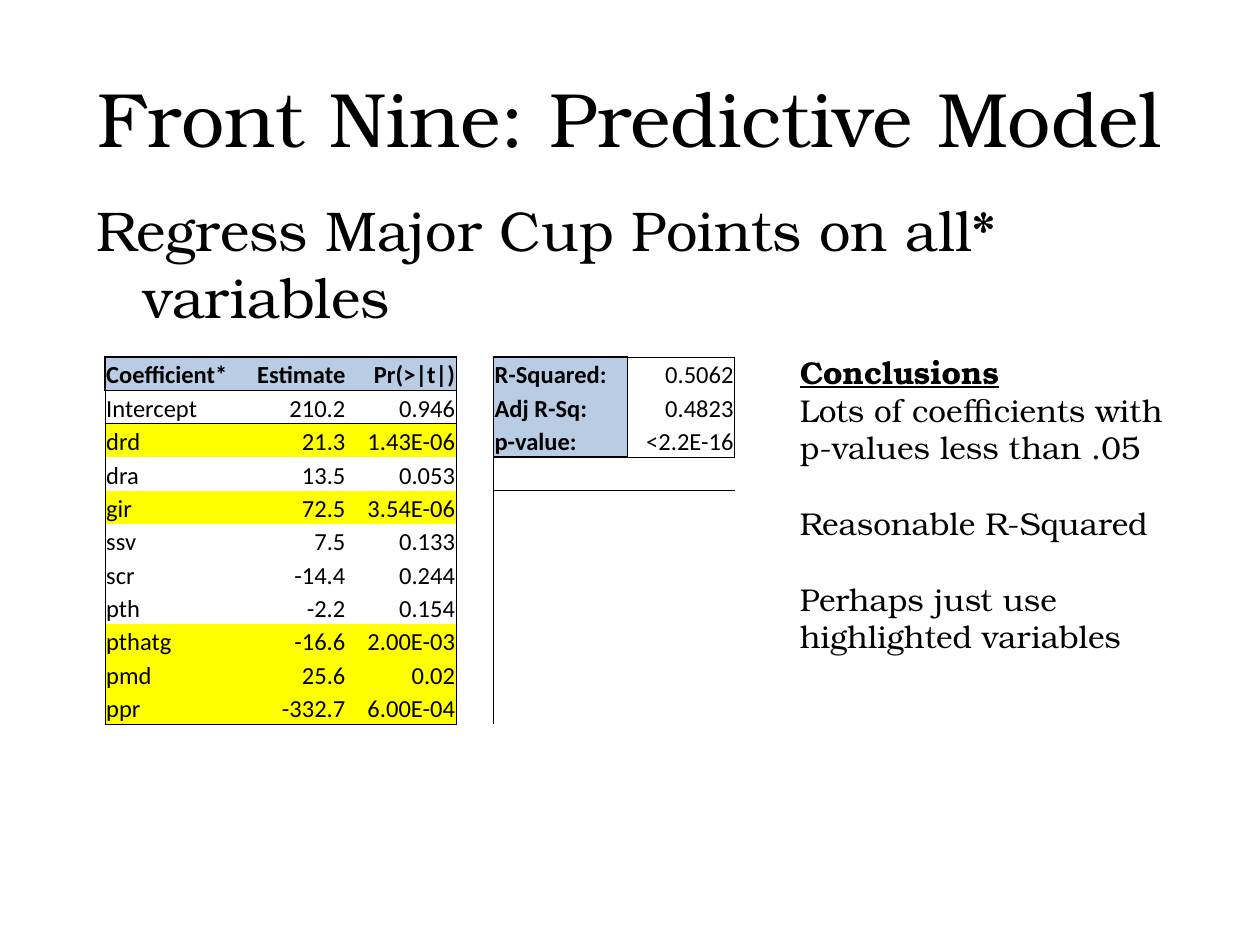
"""Build the front-nine predictive model slide."""
from dataclasses import dataclass

from lxml import etree
from pptx import Presentation
from pptx.dml.color import RGBColor
from pptx.enum.text import MSO_ANCHOR, PP_ALIGN
from pptx.oxml.ns import qn
from pptx.util import Pt

LEFT, RIGHT, CENTER = PP_ALIGN.LEFT, PP_ALIGN.RIGHT, PP_ALIGN.CENTER
TOP, MIDDLE, BOTTOM = MSO_ANCHOR.TOP, MSO_ANCHOR.MIDDLE, MSO_ANCHOR.BOTTOM
SERIF, SANS = "TeX Gyre Bonum", "Calibri"
BLACK, BLUE, YELLOW = "000000", "B8CCE4", "FFFF00"
PLAIN_STYLE = "{2D5ABB26-0587-4C30-8999-92F81FD0307C}"
THIN, THICK = 0.5, 1
CELL_SIZE = 14
ROW_HEIGHT = 19.1
COLUMN_WIDTHS = (75.4, 62.7, 62.7, 21.2, 76.8, 61.2)
SUMMARY_COLUMN = 4

COEFFICIENTS = (
    ("Coefficient*", "Estimate", "Pr(>|t|)"),
    ("Intercept", "210.2", "0.946"),
    ("drd", "21.3", "1.43E-06"),
    ("dra", "13.5", "0.053"),
    ("gir", "72.5", "3.54E-06"),
    ("ssv", "7.5", "0.133"),
    ("scr", "-14.4", "0.244"),
    ("pth", "-2.2", "0.154"),
    ("pthatg", "-16.6", "2.00E-03"),
    ("pmd", "25.6", "0.02"),
    ("ppr", "-332.7", "6.00E-04"),
)
SUMMARY = (("R-Squared:", "0.5062"), ("Adj R-Sq:", "0.4823"), ("p-value:", "<2.2E-16"))
HIGHLIGHTED = {"drd", "gir", "pthatg", "pmd", "ppr"}


@dataclass
class Line:
    """A paragraph of a text box."""
    text: str
    size: float
    align: PP_ALIGN = LEFT
    bold: bool = False
    underline: bool = False
    space_before: float = 0
    hanging: float = 0


@dataclass
class TextBlock:
    """A text box with its frame in points."""
    frame: tuple[float, float, float, float]
    lines: list[Line]
    anchor: MSO_ANCHOR = TOP


@dataclass
class Outline:
    """A bordered cell range with widths for left, top, right and bottom."""
    first: tuple[int, int]
    last: tuple[int, int]
    widths: tuple[float, float, float, float]


TEXT_BLOCKS = (
    TextBlock((36, 21.6, 648, 90), [Line("Front Nine: Predictive Model", 44, CENTER)], MIDDLE),
    TextBlock((48, 108, 648, 54),
              [Line("Regress Major Cup Points on all* variables", 32, hanging=27)]),
    TextBlock((450, 198, 234, 181.4), [
        Line("Conclusions", 18, bold=True, underline=True),
        Line("Lots of coefficients with p-values less than .05", 18),
        Line("Reasonable R-Squared", 18, space_before=21.6),
        Line("Perhaps just use highlighted variables", 18, space_before=21.6),
    ]),
)
OUTLINES = (
    Outline((1, 0), (10, 2), (THIN, THIN, THIN, THIN)),
    Outline((0, 0), (0, 2), (THICK, THICK, THICK, THIN)),
    Outline((0, 5), (2, 5), (THIN, THIN, THIN, THIN)),
    Outline((0, 4), (2, 4), (THICK, THICK, THIN, THICK)),
)


def color(value: str) -> RGBColor:
    """Return the colour of a hex string."""
    return RGBColor.from_string(value)


def apply(target, values: dict) -> None:
    """Set attributes from a dict of format values."""
    for name, value in values.items():
        setattr(target, name, value)


def write(paragraph, text: str, font_name: str, size: float, bold: bool, underline: bool) -> None:
    """Add a formatted run to a paragraph."""
    run = paragraph.add_run()
    run.text = text
    apply(run.font, {"name": font_name, "size": Pt(size), "bold": bold, "underline": underline})
    run.font.color.rgb = color(BLACK)


def draw_text(slide, block: TextBlock) -> None:
    """Draw a text box with its paragraphs."""
    frame = slide.shapes.add_textbox(*map(Pt, block.frame)).text_frame
    apply(frame, {"word_wrap": True, "vertical_anchor": block.anchor})
    for index, line in enumerate(block.lines):
        paragraph = frame.add_paragraph() if index else frame.paragraphs[0]
        paragraph.alignment = line.align
        if line.space_before:
            paragraph.space_before = Pt(line.space_before)
        if line.hanging:
            properties = paragraph._p.get_or_add_pPr()
            properties.set("marL", str(Pt(line.hanging)))
            properties.set("indent", str(Pt(-line.hanging)))
        write(paragraph, line.text, SERIF, line.size, line.bold, line.underline)


def border_widths(outlines: tuple[Outline, ...]) -> dict:
    """Map each cell and side to a width, on both cells that share an edge."""
    borders = {}
    for outline in outlines:
        (top, left), (bottom, right) = outline.first, outline.last
        left_width, top_width, right_width, bottom_width = outline.widths
        for row in range(top, bottom + 1):
            borders[row, left, "L"] = borders[row, left - 1, "R"] = left_width
            borders[row, right, "R"] = borders[row, right + 1, "L"] = right_width
        for column in range(left, right + 1):
            borders[top, column, "T"] = borders[top - 1, column, "B"] = top_width
            borders[bottom, column, "B"] = borders[bottom + 1, column, "T"] = bottom_width
    return borders


def add_border(cell, side: str, width: float) -> None:
    """Add a black line to one side of a cell."""
    line = etree.SubElement(cell._tc.get_or_add_tcPr(), qn(f"a:ln{side}"), w=str(Pt(width)))
    fill = etree.SubElement(line, qn("a:solidFill"))
    etree.SubElement(fill, qn("a:srgbClr"), val=BLACK)


def cell_contents() -> dict:
    """Map each filled position to its text, fill, boldness and alignment."""
    contents = {}
    for row, values in enumerate(COEFFICIENTS):
        fill = BLUE if row == 0 else YELLOW if values[0] in HIGHLIGHTED else None
        for column, text in enumerate(values):
            contents[row, column] = text, fill, row == 0, RIGHT if column else LEFT
    for row, (label, value) in enumerate(SUMMARY):
        contents[row, SUMMARY_COLUMN] = label, BLUE, True, LEFT
        contents[row, SUMMARY_COLUMN + 1] = value, None, False, RIGHT
    return contents


def draw_table(slide, left: float, top: float) -> None:
    """Draw the coefficients and the fit summary in one table."""
    row_count, column_count = len(COEFFICIENTS), len(COLUMN_WIDTHS)
    size = sum(COLUMN_WIDTHS), ROW_HEIGHT * row_count
    table = slide.shapes.add_table(row_count, column_count, *map(Pt, (left, top, *size))).table
    apply(table, {"first_row": False, "horz_banding": False})
    table._tbl.tblPr.find(qn("a:tableStyleId")).text = PLAIN_STYLE
    for column, width in zip(table.columns, COLUMN_WIDTHS):
        column.width = Pt(width)
    contents, borders = cell_contents(), border_widths(OUTLINES)
    for row in range(row_count):
        table.rows[row].height = Pt(ROW_HEIGHT)
        for column in range(column_count):
            cell = table.cell(row, column)
            apply(cell, {"margin_left": Pt(0.7), "margin_right": Pt(0.7), "margin_top": Pt(0.7),
                         "margin_bottom": Pt(0), "vertical_anchor": BOTTOM})
            for side in "LRTB":
                if (row, column, side) in borders:
                    add_border(cell, side, borders[row, column, side])
            text, fill, bold, align = contents.get((row, column), ("", None, False, LEFT))
            if fill:
                cell.fill.solid()
                cell.fill.fore_color.rgb = color(fill)
            else:
                cell.fill.background()
            paragraph = cell.text_frame.paragraphs[0]
            paragraph.alignment = align
            if text:
                write(paragraph, text, SANS, CELL_SIZE, bold, False)
            else:
                etree.SubElement(paragraph._p, qn("a:endParaRPr"), sz=str(CELL_SIZE * 100))


def main() -> None:
    """Build and save the slide."""
    presentation = Presentation()
    apply(presentation, {"slide_width": Pt(720), "slide_height": Pt(540)})
    slide = presentation.slides.add_slide(presentation.slide_layouts[6])
    for block in TEXT_BLOCKS:
        draw_text(slide, block)
    draw_table(slide, 60, 204)
    presentation.save("out.pptx")


if __name__ == "__main__":
    main()
